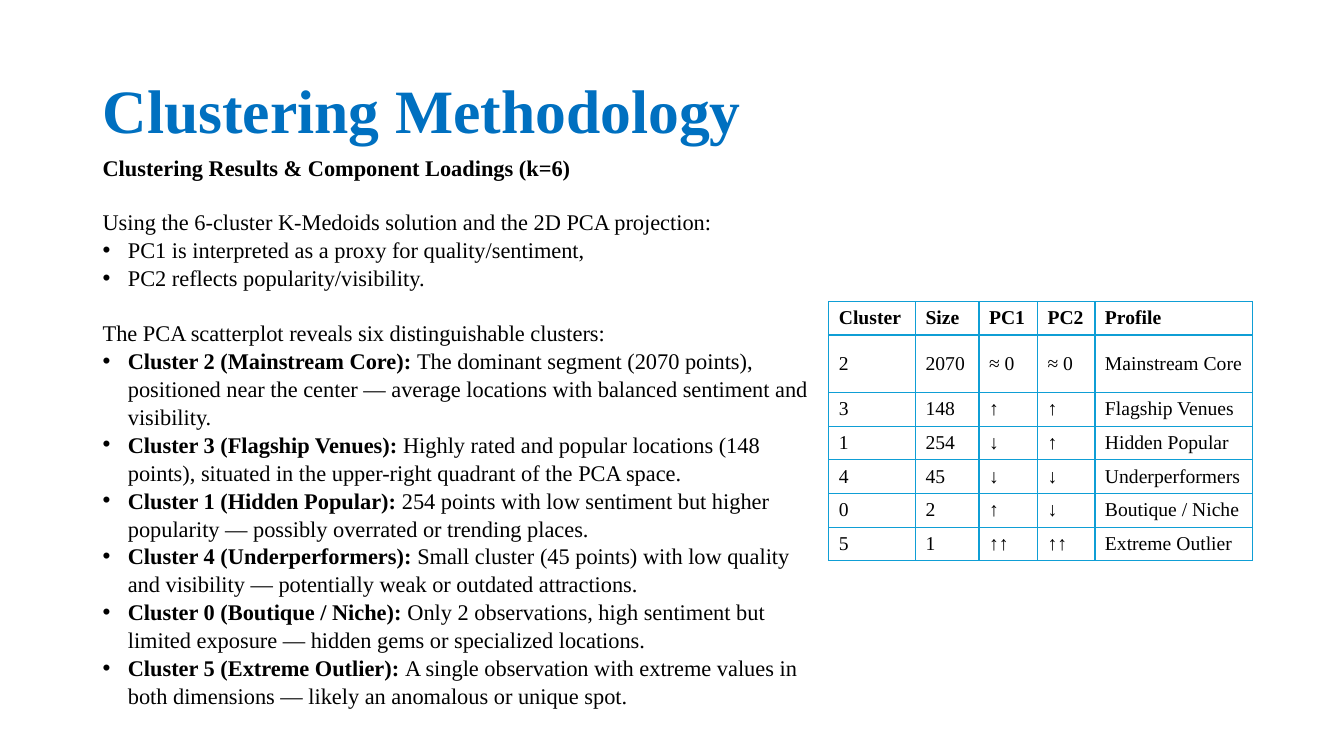
"""Build the clustering methodology slide."""
from dataclasses import dataclass
from pptx import Presentation
from pptx.dml.color import RGBColor as Rgb
from pptx.enum.text import MSO_ANCHOR as Anchor
from pptx.oxml import parse_xml
from pptx.oxml.ns import nsdecls
from pptx.util import Inches, Pt


@dataclass(frozen=True)
class Theme:
    font: str = "Times New Roman"
    blue: str = "0070C0"
    ink: str = "000000"
    rule: str = "0F9ED5"
    head: int = 44
    body: int = 16
    cell: int = 14
    gap: float = 19.15


THEME = Theme()
TITLE = "Clustering Methodology"
HEAD = "Clustering Results & Component Loadings (k=6)"
PARTS = [
    ("Using the 6-cluster K-Medoids solution and the 2D PCA projection:", [
        ("", "PC1 is interpreted as a proxy for quality/sentiment,"),
        ("", "PC2 reflects popularity/visibility."),
    ]),
    ("The PCA scatterplot reveals six distinguishable clusters:", [
        ("Cluster 2 (Mainstream Core): ",
         "The dominant segment (2070 points), positioned near the center — "
         "average locations with balanced sentiment and visibility."),
        ("Cluster 3 (Flagship Venues): ",
         "Highly rated and popular locations (148 points), situated in the "
         "upper-right quadrant of the PCA space."),
        ("Cluster 1 (Hidden Popular): ",
         "254 points with low sentiment but higher popularity — possibly "
         "overrated or trending places."),
        ("Cluster 4 (Underperformers): ",
         "Small cluster (45 points) with low quality and visibility — "
         "potentially weak or outdated attractions."),
        ("Cluster 0 (Boutique / Niche): ",
         "Only 2 observations, high sentiment but limited exposure — hidden "
         "gems or specialized locations."),
        ("Cluster 5 (Extreme Outlier): ",
         "A single observation with extreme values in both dimensions — "
         "likely an anomalous or unique spot."),
    ]),
]
ROWS = [
    ("Cluster", "Size", "PC1", "PC2", "Profile"),
    ("2", "2070", "≈ 0", "≈ 0", "Mainstream Core"),
    ("3", "148", "↑", "↑", "Flagship Venues"),
    ("1", "254", "↓", "↑", "Hidden Popular"),
    ("4", "45", "↓", "↓", "Underperformers"),
    ("0", "2", "↑", "↓", "Boutique / Niche"),
    ("5", "1", "↑↑", "↑↑", "Extreme Outlier"),
]
WIDTHS = [0.86, 0.63, 0.58, 0.57, 1.56]
ROW, TALL = 0.333, 0.57


def write(frame, text, lead="", size=THEME.body, color=THEME.ink, bold=False,
          bullet=False, line=None, before=0):
    """Add one paragraph, with an optional bold lead."""
    para = frame.paragraphs[0]
    if para.runs:
        para = frame.add_paragraph()
    if bullet:
        props = para._p.get_or_add_pPr()
        props.set("marL", str(Inches(0.25)))
        props.set("indent", str(-Inches(0.25)))
        props.append(parse_xml(f'<a:buFont {nsdecls("a")} typeface="Arial"/>'))
        props.append(parse_xml(f'<a:buChar {nsdecls("a")} char="•"/>'))
    if line:
        para.line_spacing = line
    if before:
        para.space_before = Pt(before)
    for words, strong in ((lead, True), (text, bold)):
        if words:
            run = para.add_run()
            run.text = words
            font = run.font
            font.name, font.size, font.bold = THEME.font, Pt(size), strong
            font.color.rgb = Rgb.from_string(color)


def add_box(slide, *place):
    """Add a wrapped text box and return its frame."""
    frame = slide.shapes.add_textbox(*map(Inches, place)).text_frame
    frame.word_wrap = True
    frame.vertical_anchor = Anchor.MIDDLE
    return frame


def frame_cell(cell):
    """Clear the fill and draw the four borders."""
    cell.vertical_anchor = Anchor.MIDDLE
    props = cell._tc.get_or_add_tcPr()
    for side in "LRTB":
        props.append(parse_xml(
            f'<a:ln{side} {nsdecls("a")} w="{Pt(1)}"><a:solidFill>'
            f'<a:srgbClr val="{THEME.rule}"/></a:solidFill></a:ln{side}>'))
    cell.fill.background()


def add_grid(slide):
    """Add the cluster table."""
    high = [TALL if i == 1 else ROW for i in range(len(ROWS))]
    place = map(Inches, (8.22, 2.99, sum(WIDTHS), sum(high)))
    table = slide.shapes.add_table(len(ROWS), len(WIDTHS), *place).table
    table.horz_banding = False
    for col, width in zip(table.columns, WIDTHS):
        col.width = Inches(width)
    for i, (row, tall) in enumerate(zip(table.rows, high)):
        row.height = Inches(tall)
        for cell, text in zip(row.cells, ROWS[i]):
            frame_cell(cell)
            write(cell.text_frame, text, size=THEME.cell, bold=i == 0)


def main():
    """Build and save the slide."""
    deck = Presentation()
    deck.slide_width, deck.slide_height = Inches(13.33), Inches(7.5)
    slide = deck.slides.add_slide(deck.slide_layouts[6])
    write(add_box(slide, 0.92, 0.4, 11.5, 1.45), TITLE, size=THEME.head,
          color=THEME.blue, bold=True, line=0.9)
    body = add_box(slide, 0.92, 1.53, 7.3, 5.49)
    write(body, HEAD, bold=True, line=1.04)
    for intro, points in PARTS:
        write(body, intro, line=1.04, before=THEME.gap)
        for lead, text in points:
            write(body, text, lead=lead, bullet=True, line=1.04)
    add_grid(slide)
    deck.save("out.pptx")


if __name__ == "__main__":
    main()
